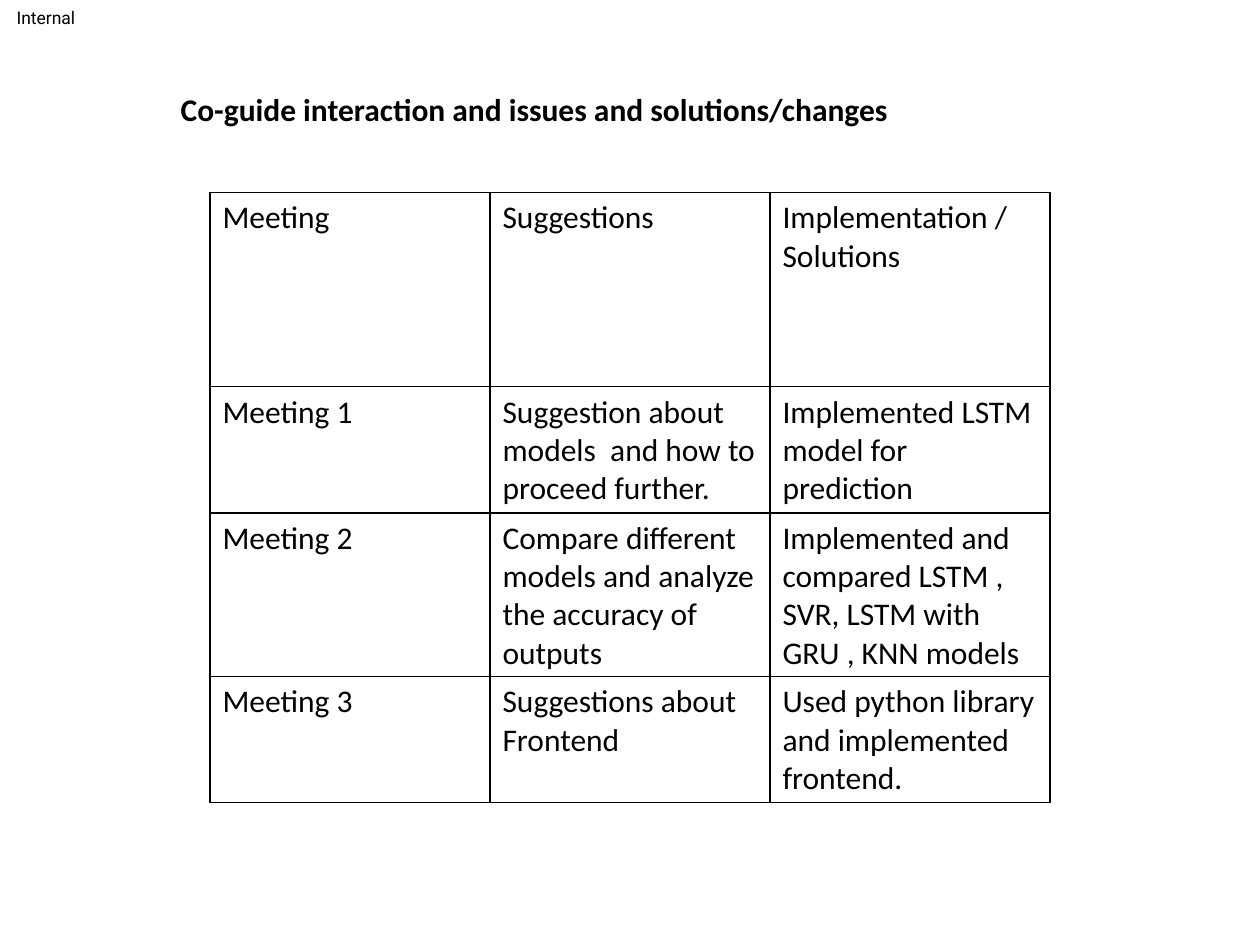
from lxml import etree
from pptx import Presentation
from pptx.dml.color import RGBColor
from pptx.enum.text import MSO_ANCHOR, MSO_AUTO_SIZE, PP_ALIGN
from pptx.oxml.ns import qn
from pptx.util import Pt

BLACK = RGBColor(0, 0, 0)
LEFT, CENTER = PP_ALIGN.LEFT, PP_ALIGN.CENTER
TOP, MIDDLE = MSO_ANCHOR.TOP, MSO_ANCHOR.MIDDLE
FIT_SHAPE = MSO_AUTO_SIZE.SHAPE_TO_FIT_TEXT
TITLE_ONLY = 5

MEETINGS = [
    ("Meeting", "Suggestions", "Implementation / Solutions"),
    ("Meeting 1", "Suggestion about models  and how to proceed further.",
     "Implemented LSTM model for prediction"),
    ("Meeting 2", "Compare different models and analyze the accuracy of outputs",
     "Implemented and compared LSTM , SVR, LSTM with GRU , KNN models "),
    ("Meeting 3", "Suggestions about Frontend",
     "Used python library and implemented frontend."),
]


class SlideBuilder:
    font = "Calibri"
    label_font = "Roboto"
    size = 18
    label_size = 10
    border = 1

    def __init__(self, slide):
        self.slide = slide

    def set_text(self, frame, text, font, size, bold=False, align=LEFT):
        frame.text = text
        for paragraph in frame.paragraphs:
            paragraph.alignment = align
            for run in paragraph.runs:
                run.font.name = font
                run.font.size = Pt(size)
                run.font.bold = bold
                run.font.color.rgb = BLACK

    def title(self, text, left, top, width, height):
        heading = self.slide.shapes.title
        heading.left, heading.top = Pt(left), Pt(top)
        heading.width, heading.height = Pt(width), Pt(height)
        frame = heading.text_frame
        frame.word_wrap = True
        frame.auto_size = FIT_SHAPE
        frame.vertical_anchor = TOP
        self.set_text(frame, text, self.font, self.size, bold=True)

    def label(self, text, left, top, width, height):
        box = self.slide.shapes.add_textbox(Pt(left), Pt(top), Pt(width), Pt(height))
        frame = box.text_frame
        frame.margin_left = frame.margin_right = 0
        frame.margin_top = frame.margin_bottom = 0
        frame.vertical_anchor = MIDDLE
        frame.word_wrap = True
        self.set_text(frame, text, self.label_font, self.label_size, align=CENTER)

    def outline(self, cell):
        properties = cell._tc.get_or_add_tcPr()
        for position, side in enumerate(("a:lnL", "a:lnR", "a:lnT", "a:lnB")):
            line = etree.Element(qn(side), w=str(Pt(self.border)))
            fill = etree.SubElement(line, qn("a:solidFill"))
            etree.SubElement(fill, qn("a:srgbClr"), val=str(BLACK))
            properties.insert(position, line)

    def table(self, rows, left, top, width, heights):
        grid = self.slide.shapes.add_table(
            len(rows), len(rows[0]), Pt(left), Pt(top), Pt(width), Pt(sum(heights))).table
        grid.first_row = grid.horz_banding = False
        for row, height, texts in zip(grid.rows, heights, rows):
            row.height = Pt(height)
            for cell, text in zip(row.cells, texts):
                cell.fill.background()
                self.set_text(cell.text_frame, text, self.font, self.size)
                self.outline(cell)


deck = Presentation()
deck.slide_width, deck.slide_height = Pt(720), Pt(540)
builder = SlideBuilder(deck.slides.add_slide(deck.slide_layouts[TITLE_ONLY]))
builder.label("Internal", 0, 0, 52.5, 20)
builder.title("Co-guide interaction and issues and solutions/changes", 96, 48, 564, 30)
builder.table(MEETINGS, 120, 110, 480, [111, 64, 64, 64])
deck.save("out.pptx")
